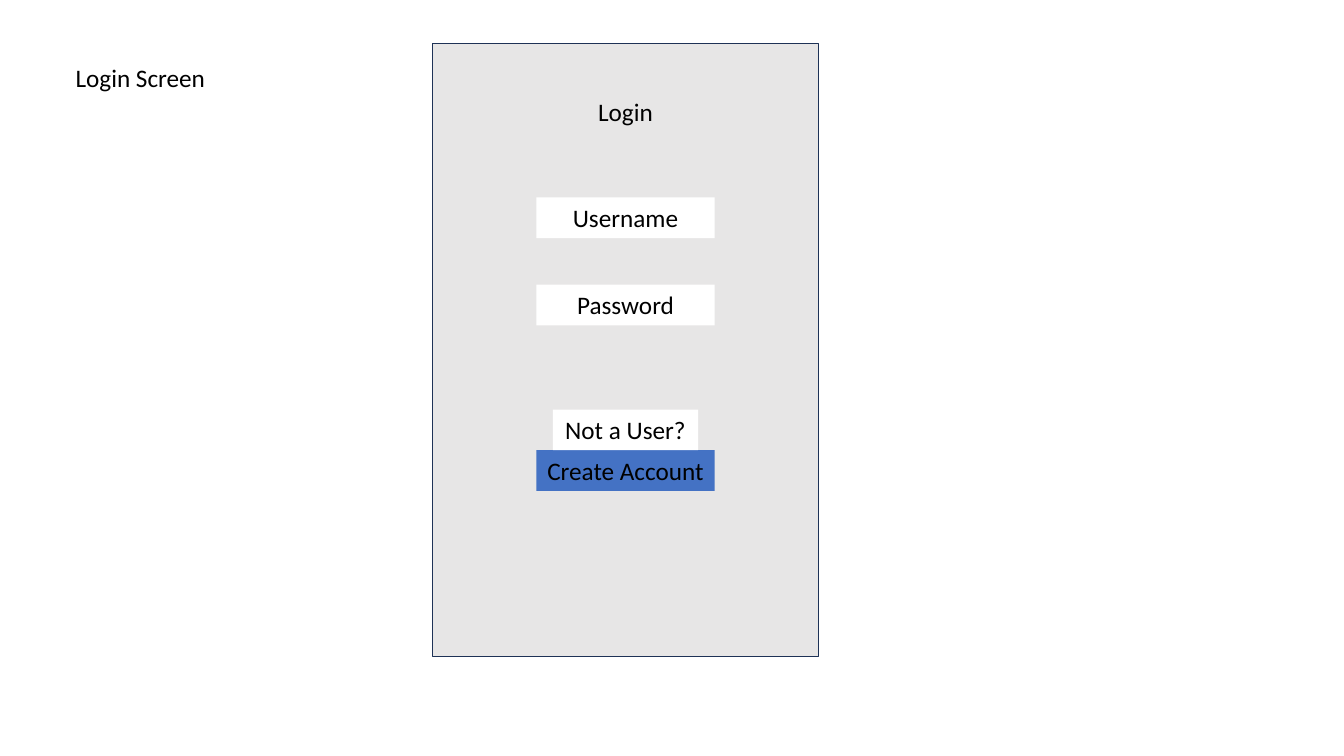
from pptx import Presentation
from pptx.dml.color import RGBColor
from pptx.enum.shapes import MSO_SHAPE
from pptx.enum.text import MSO_ANCHOR, PP_ALIGN
from pptx.util import Pt

COLORS = {"screen": "E7E6E6", "outline": "1E3256", "field": "FFFFFF",
          "button": "4472C4", "text": "000000"}
FONT = {"name": "Calibri", "size": Pt(18), "bold": False}
LABEL_WIDTH, LABEL_HEIGHT = 127.4, 29.1
SCREEN_LEFT, SCREEN_WIDTH = 309, 275.6
SCREEN_CENTER = SCREEN_LEFT + SCREEN_WIDTH / 2


def write_label(shape, text, alignment):
    frame = shape.text_frame
    frame.word_wrap = True
    frame.vertical_anchor = MSO_ANCHOR.TOP
    paragraph = frame.paragraphs[0]
    paragraph.alignment = alignment
    run = paragraph.add_run()
    run.text = text
    for attribute, value in FONT.items():
        setattr(run.font, attribute, value)
    run.font.color.rgb = RGBColor.from_string(COLORS["text"])


presentation = Presentation()
presentation.slide_width = Pt(960)
presentation.slide_height = Pt(540)
slide = presentation.slides.add_slide(presentation.slide_layouts[5])

title = slide.shapes.title
title.left, title.top = Pt(46.8), Pt(40.6)
title.width, title.height = Pt(LABEL_WIDTH), Pt(LABEL_HEIGHT)
write_label(title, "Login Screen", PP_ALIGN.LEFT)

screen = slide.shapes.add_shape(MSO_SHAPE.RECTANGLE, Pt(SCREEN_LEFT), Pt(31),
                                Pt(SCREEN_WIDTH), Pt(437.8))
screen.shadow.inherit = False
screen.fill.solid()
screen.fill.fore_color.rgb = RGBColor.from_string(COLORS["screen"])
screen.line.color.rgb = RGBColor.from_string(COLORS["outline"])
screen.line.width = Pt(1)

# text, top, width, fill
labels = [
    ("Login", 65, LABEL_WIDTH, None),
    ("Username", 141, LABEL_WIDTH, "field"),
    ("Password", 203.3, LABEL_WIDTH, "field"),
    ("Create Account", 321.6, LABEL_WIDTH, "button"),
    ("Not a User?", 292.5, 103.7, "field"),
]
for text, top, width, fill in labels:
    label = slide.shapes.add_textbox(Pt(SCREEN_CENTER - width / 2), Pt(top),
                                     Pt(width), Pt(LABEL_HEIGHT))
    write_label(label, text, PP_ALIGN.CENTER)
    if fill:
        label.fill.solid()
        label.fill.fore_color.rgb = RGBColor.from_string(COLORS[fill])

presentation.save("out.pptx")
